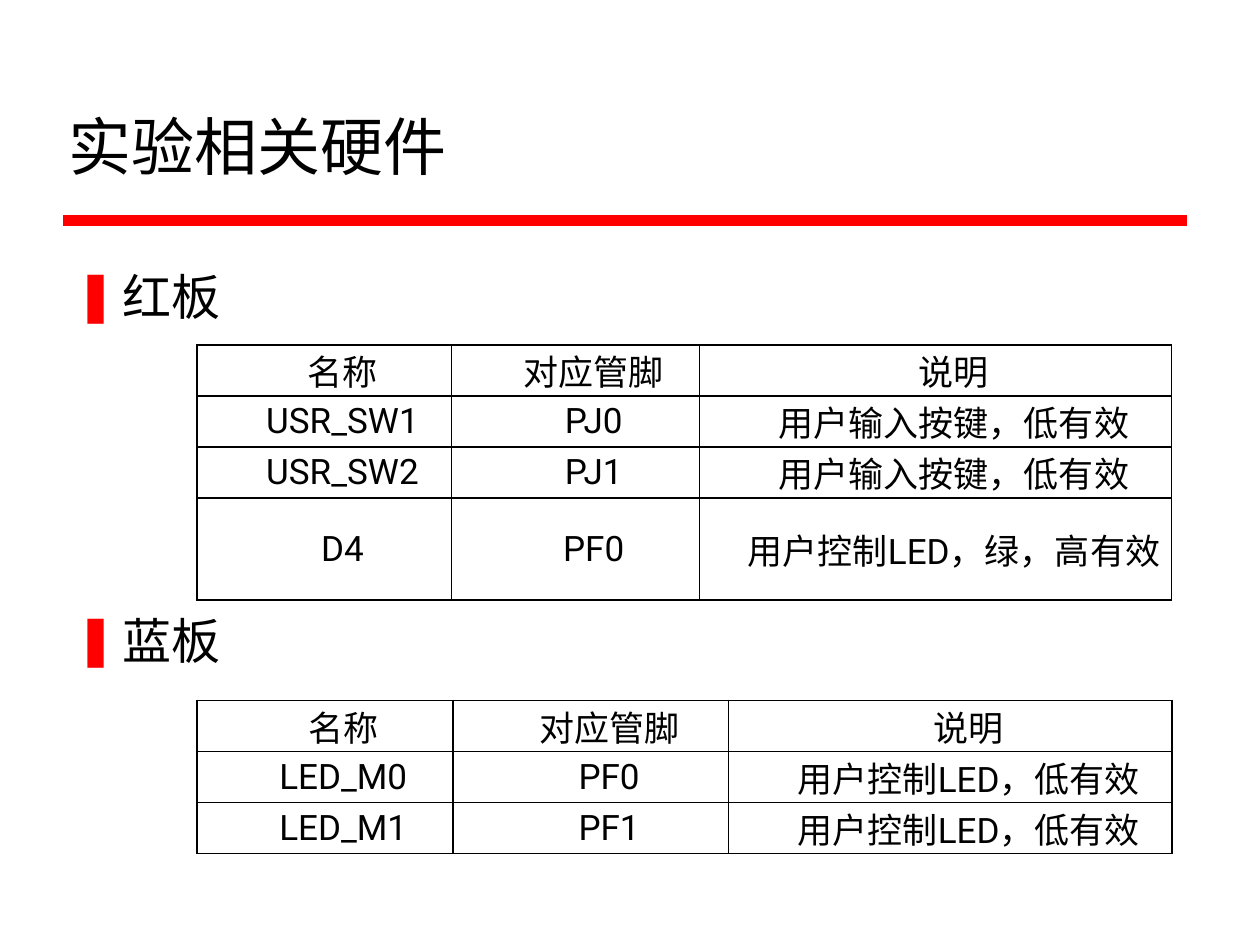
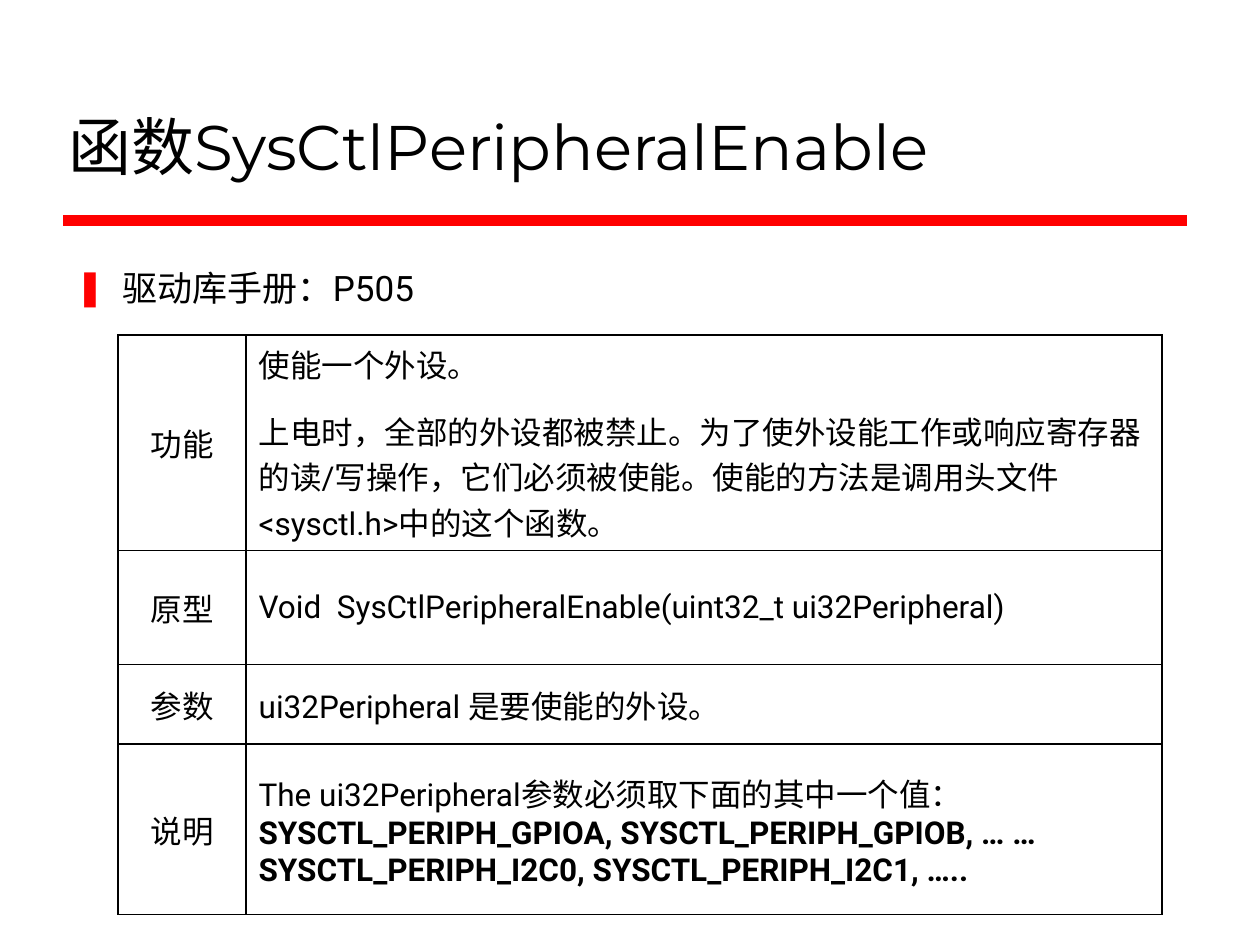
from lxml.etree import SubElement
from pptx import Presentation
from pptx.dml.color import RGBColor
from pptx.enum.shapes import MSO_CONNECTOR
from pptx.enum.text import MSO_ANCHOR, MSO_AUTO_SIZE, PP_ALIGN
from pptx.oxml.ns import qn
from pptx.util import Cm, Pt

BLACK = RGBColor(0x00, 0x00, 0x00)
RED = RGBColor(0xFF, 0x00, 0x00)
TITLE_FONT = "Montserrat"
BODY_FONT = "Roboto"


def write_text(frame, text, size, font=BODY_FONT, bold=False, align=PP_ALIGN.LEFT,
               first_indent=None, bullet=False, before=0, after=0):
    """Write into the frame's empty first paragraph, or append a new one."""
    paragraph = frame.paragraphs[0] if not frame.text else frame.add_paragraph()
    paragraph.alignment = align
    paragraph.space_before = Pt(before)
    paragraph.space_after = Pt(after)
    properties = paragraph._p.get_or_add_pPr()
    if first_indent:
        properties.set("indent", str(first_indent))
    if bullet:
        properties.set("marL", str(Cm(0.95)))
        properties.set("indent", str(Cm(-0.95)))
        colour = SubElement(properties, qn("a:buClr"))
        SubElement(colour, qn("a:srgbClr"), val=str(RED))
        SubElement(properties, qn("a:buFont"), typeface=font)
        SubElement(properties, qn("a:buChar"), char="❚")
    run = paragraph.add_run()
    run.text = text
    run.font.name = font
    run.font.size = Pt(size)
    run.font.bold = bold
    run.font.color.rgb = BLACK


def add_grid(slide, left, top, column_widths, row_heights):
    """Add an unfilled table with thin black borders; sizes are in cm."""
    table = slide.shapes.add_table(
        len(row_heights), len(column_widths), Cm(left), Cm(top),
        Cm(sum(column_widths)), Cm(sum(row_heights))).table
    table.first_row = table.horz_banding = False
    for column, width in zip(table.columns, column_widths):
        column.width = Cm(width)
    for row, height in zip(table.rows, row_heights):
        row.height = Cm(height)
    for cell in table.iter_cells():
        cell.vertical_anchor = MSO_ANCHOR.MIDDLE
        properties = cell._tc.get_or_add_tcPr()
        for side in ("lnL", "lnR", "lnT", "lnB"):
            border = SubElement(properties, qn(f"a:{side}"), w=str(Pt(1)))
            fill = SubElement(border, qn("a:solidFill"))
            SubElement(fill, qn("a:srgbClr"), val=str(BLACK))
        cell.fill.background()
    return table


presentation = Presentation()
presentation.slide_width = Cm(25.4)
presentation.slide_height = Cm(19.05)

# Title, red rule and bulleted headings of each slide
headings_by_title = {
    "实验相关硬件": (28, ["红板", "蓝板"]),
    "函数SysCtlPeripheralEnable": (20, ["驱动库手册：P505"]),
}
slides = []
for title_text, (heading_size, headings) in headings_by_title.items():
    slide = presentation.slides.add_slide(presentation.slide_layouts[5])
    slides.append(slide)

    rule = slide.shapes.add_connector(
        MSO_CONNECTOR.STRAIGHT, Cm(1.27), Cm(4.45), Cm(23.93), Cm(4.45))
    rule.line.color.rgb = RED
    rule.line.width = Pt(6)
    SubElement(rule._element.spPr, qn("a:effectLst"))

    title = slide.shapes.title
    title.left, title.top, title.width, title.height = Cm(1.12), Cm(0.64), Cm(22.78), Cm(3.18)
    title.text_frame.auto_size = MSO_AUTO_SIZE.NONE
    title.text_frame.vertical_anchor = MSO_ANCHOR.BOTTOM
    write_text(title.text_frame, title_text, 36, font=TITLE_FONT)

    body = slide.shapes.add_textbox(Cm(1.27), Cm(5.25), Cm(22.71), Cm(11.58))
    body.text_frame.word_wrap = True
    for index, heading in enumerate(headings):
        write_text(body.text_frame, heading, heading_size, bullet=True,
                   before=163 if index else 0)

hardware_slide, function_slide = slides

# Pin tables of the two boards; the last red-board row holds two lines
pin_header = ("名称", "对应管脚", "说明")
red_board = [
    pin_header,
    ("USR_SW1", "PJ0", "用户输入按键，低有效"),
    ("USR_SW2", "PJ1", "用户输入按键，低有效"),
    ("D4", "PF0", "用户控制LED，绿，高有效"),
]
blue_board = [
    pin_header,
    ("LED_M0", "PF0", "用户控制LED，低有效"),
    ("LED_M1", "PF1", "用户控制LED，低有效"),
]
for top, column_widths, row_heights, pins in (
    (6.95, (5.13, 5.0, 9.52), (1.03, 1.03, 1.03, 2.06), red_board),
    (14.12, (5.16, 5.56, 8.94), (1.03, 1.03, 1.03), blue_board),
):
    table = add_grid(hardware_slide, 3.97, top, column_widths, row_heights)
    for row, texts in zip(table.rows, pins):
        for cell, text in zip(row.cells, texts):
            cell.margin_left = cell.margin_right = Cm(0.18)
            cell.margin_top = cell.margin_bottom = 0
            write_text(cell.text_frame, text, 20, align=PP_ALIGN.CENTER,
                       first_indent=Cm(0.74))

# Function reference table
function_table = add_grid(function_slide, 2.38, 6.75, (2.58, 18.46), (4.35, 2.3, 1.6, 3.44))
reference = [
    ("功能", [
        ("使能一个外设。", {"after": 6}),
        ("上电时，全部的外设都被禁止。为了使外设能工作或响应寄存器的读/写操作，它们必须被使能。"
         "使能的方法是调用头文件<sysctl.h>中的这个函数。", {"before": 6}),
    ]),
    ("原型", [("Void  SysCtlPeripheralEnable(uint32_t ui32Peripheral)", {})]),
    ("参数", [("ui32Peripheral 是要使能的外设。", {})]),
    ("说明", [
        ("The ui32Peripheral参数必须取下面的其中一个值：", {}),
        ("SYSCTL_PERIPH_GPIOA, SYSCTL_PERIPH_GPIOB, … … "
         "SYSCTL_PERIPH_I2C0, SYSCTL_PERIPH_I2C1, …..", {"bold": True}),
    ]),
]
for row, (label, paragraphs) in zip(function_table.rows, reference):
    label_cell, description_cell = row.cells
    write_text(label_cell.text_frame, label, 18, align=PP_ALIGN.CENTER)
    for text, text_format in paragraphs:
        write_text(description_cell.text_frame, text, 18, **text_format)

presentation.save("out.pptx")
